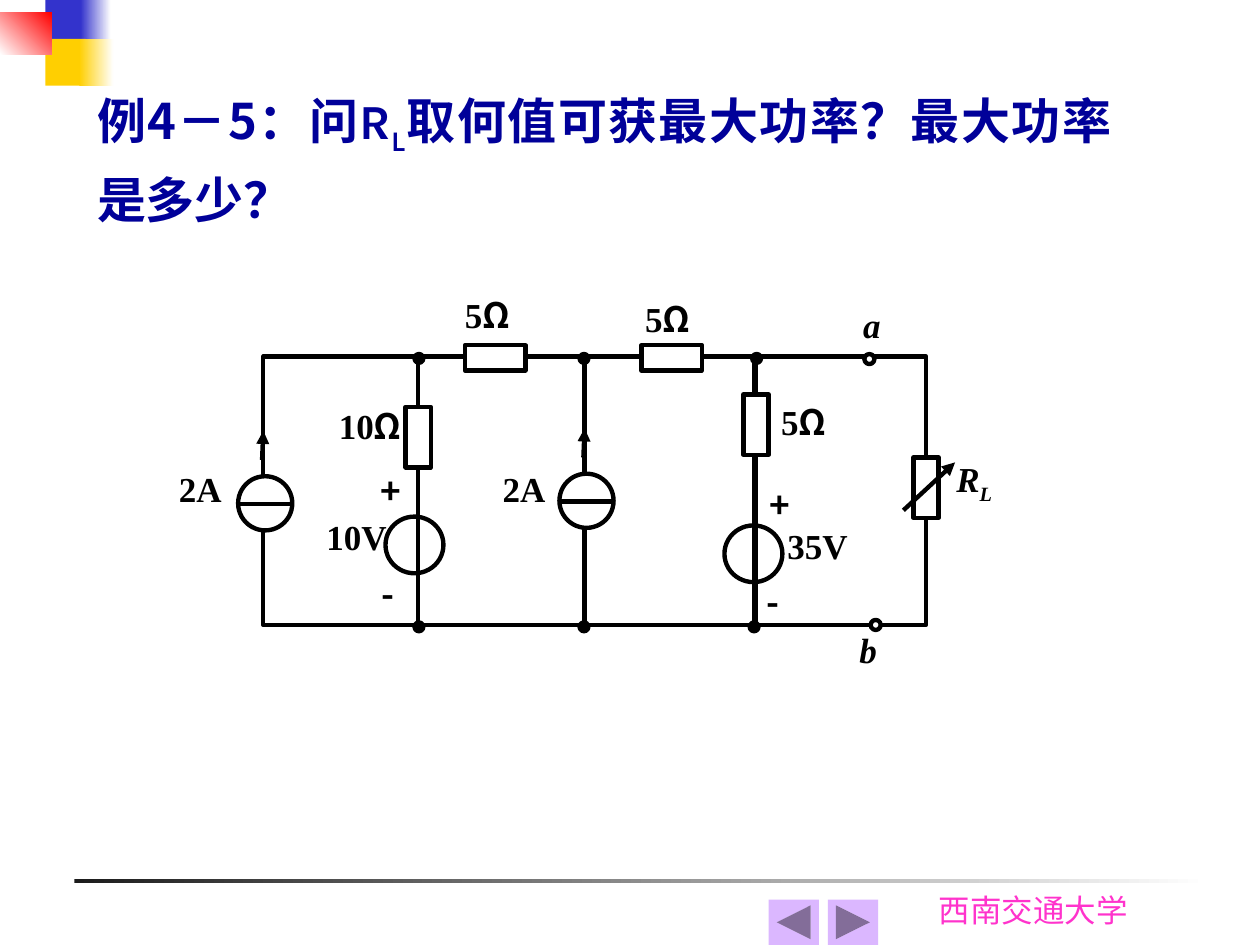
from lxml.etree import SubElement
from pptx import Presentation
from pptx.dml.color import RGBColor
from pptx.enum.shapes import MSO_CONNECTOR, MSO_SHAPE
from pptx.enum.text import MSO_ANCHOR, MSO_AUTO_SIZE, PP_ALIGN
from pptx.oxml.ns import qn
from pptx.util import Inches, Pt

SERIF, SANS, LATIN = "Times New Roman", "Noto Sans CJK SC", "Karla"
BLACK, WHITE = "000000", "FFFFFF"


def color(code):
    return RGBColor.from_string(code)


class CircuitSlide:
    stroke = Pt(2.5)

    def __init__(self, deck):
        self.slide = deck.slides.add_slide(deck.slide_layouts[5])
        self.shapes = self.slide.shapes

    def set_runs(self, frame, runs, size, ink, bold=True, italic=False, align=PP_ALIGN.LEFT):
        paragraph = frame.paragraphs[0]
        paragraph.alignment = align
        font = paragraph.font
        font.size, font.bold, font.italic = Pt(size), bold, italic
        font.color.rgb = color(ink)
        families = {family for _, family, _ in runs}
        if len(families) == 1:
            font.name = runs[0][1]
            defaults = paragraph._p.pPr.find(qn("a:defRPr"))
            SubElement(defaults, qn("a:ea")).set("typeface", font.name)
        for words, family, subscript in runs:
            run = paragraph.add_run()
            run.text = words
            properties = run._r.get_or_add_rPr()
            if len(families) > 1:
                run.font.name = family
                SubElement(properties, qn("a:ea")).set("typeface", family)
            if subscript:
                properties.set("baseline", "-25000")
        return paragraph

    def title(self, runs, left, top, width, height):
        heading = self.shapes.title
        heading.left, heading.top = Inches(left), Inches(top)
        heading.width, heading.height = Inches(width), Inches(height)
        frame = heading.text_frame
        frame.word_wrap = True
        frame.auto_size = MSO_AUTO_SIZE.NONE
        frame.vertical_anchor = MSO_ANCHOR.MIDDLE
        self.set_runs(frame, runs, 28, "000099", align=PP_ALIGN.JUSTIFY).line_spacing = 1.2

    def text(self, runs, left, top, width, height, size=20, ink=BLACK, bold=True,
             italic=False, inset=0):
        box = self.shapes.add_textbox(*map(Inches, (left, top, width, height)))
        frame = box.text_frame
        frame.word_wrap = True
        frame.margin_left = frame.margin_right = Inches(inset)
        frame.margin_top = frame.margin_bottom = Inches(inset / 2)
        self.set_runs(frame, runs, size, ink, bold, italic)

    def shape(self, kind, left, top, width, height, fill=None, line=None):
        item = self.shapes.add_shape(kind, *map(Inches, (left, top, width, height)))
        item.shadow.inherit = False
        if fill:
            item.fill.solid()
            item.fill.fore_color.rgb = color(fill)
        else:
            item.fill.background()
        if line:
            item.line.color.rgb = color(line)
            item.line.width = self.stroke
        else:
            item.line.fill.background()
        return item

    def gradient(self, left, top, width, height, start, end, angle=0):
        fill = self.shape(MSO_SHAPE.RECTANGLE, left, top, width, height).fill
        fill.gradient()
        fill.gradient_angle = angle
        for stop, code in zip(fill.gradient_stops, (start, end)):
            stop.color.rgb = color(code)

    def circle(self, left, top, size, fill=None, height=None):
        self.shape(MSO_SHAPE.OVAL, left, top, size, height or size, fill, BLACK)

    def resistor(self, left, top, horizontal=False):
        body = self.shape(MSO_SHAPE.RECTANGLE, left, top, 0.2, 0.48, WHITE, BLACK)
        body.rotation = 270 if horizontal else 0

    def wire(self, x1, y1, x2, y2, arrow=False):
        wire = self.shapes.add_connector(
            MSO_CONNECTOR.STRAIGHT, *map(Inches, (x1, y1, x2, y2)))
        wire.line.color.rgb = color(BLACK)
        wire.line.width = self.stroke
        properties = wire._element.spPr
        if arrow:
            SubElement(properties.find(qn("a:ln")), qn("a:tailEnd")).set("type", "triangle")
        SubElement(properties, qn("a:effectLst"))

    def current_source(self, left, top):
        self.circle(left, top, 0.43, WHITE)
        self.wire(left + 0.01, top + 0.22, left + 0.44, top + 0.22)
        self.wire(left + 0.19, top - 0.13, left + 0.2, top - 0.36, arrow=True)


def main():
    deck = Presentation()
    deck.slide_width, deck.slide_height = Inches(10), Inches(7.5)
    page = CircuitSlide(deck)

    page.gradient(0.59, 6.98, 9, 0.03, "1C1C1C", WHITE)
    page.text([("西南交通大学", LATIN, False)], 7.35, 7.02, 1.81, 0.4,
              18, "FF33CC", bold=False, inset=0.1)
    for top, tint, split, fade in ((0, "3333CC", 0.64, 0.24), (0.31, "FFCF01", 0.63, 0.27)):
        page.shape(MSO_SHAPE.RECTANGLE, 0.36, top, 0.32, 0.37, tint)
        page.gradient(split, top, fade, 0.37, tint, WHITE)
    page.gradient(0, 0.1, 0.41, 0.33, WHITE, "FF0000", 45)

    page.title([("例4－5：问", SANS, False), ("R", LATIN, False), ("L", LATIN, True),
                ("取何值可获最大功率？最大功率是多少？", SANS, False)], 0.67, 0.5, 8.25, 1.42)

    top_rail, bottom_rail = 2.83, 4.96
    for left, width, fill in ((2.09, 3.9, None), (6, 1.35, WHITE)):
        page.shape(MSO_SHAPE.RECTANGLE, left, top_rail, width, bottom_rail - top_rail,
                   fill, BLACK)
    page.wire(3.32, top_rail, 3.32, bottom_rail)
    page.wire(4.64, top_rail, 4.64, bottom_rail)
    for top, lefts in ((2.81, (3.29, 4.6, 5.97)), (4.94, (3.29, 4.6, 5.95))):
        for left in lefts:
            page.circle(left, top, 0.07, BLACK)
    for left, top in ((6.86, 2.81), (6.91, 4.92)):
        page.circle(left, top, 0.08, WHITE)

    for left, top in ((1.89, 3.78), (4.44, 3.76)):
        page.current_source(left, top)
    for left, top in ((3.06, 4.1), (5.75, 4.17)):
        page.circle(left, top, 0.46, height=0.45)
    for left, top in ((5.9, 3.13), (3.22, 3.23), (7.25, 3.63)):
        page.resistor(left, top)
    for left in (3.83, 5.23):
        page.resistor(left, 2.6, horizontal=True)
    page.wire(7.17, 4.05, 7.58, 3.67, arrow=True)

    for sign, left, top in (("+", 3.02, 3.73), ("-", 3.03, 4.54),
                            ("+", 6.11, 3.84), ("-", 6.08, 4.61)):
        page.text([(sign, SANS, False)], left, top, 0.32, 0.45)
    for value, left, top in (("2A", 1.42, 3.71), ("2A", 3.99, 3.71),
                             ("10V", 2.59, 4.09), ("35V", 6.25, 4.16)):
        page.text([(value, SERIF, False)], left, top, 0.74, 0.54)
    for ohms, left, top in (("5", 3.69, 2.33), ("5", 5.12, 2.36),
                            ("10", 2.69, 3.21), ("5", 6.2, 3.18)):
        page.text([(ohms, SERIF, False), ("Ω", SANS, False)], left, top, 0.6, 0.45)
    for terminal, left, top in (("a", 6.85, 2.41), ("b", 6.82, 4.99)):
        page.text([(terminal, SERIF, False)], left, top, 0.4, 0.55, italic=True)
    page.text([("R", SERIF, False), ("L", SERIF, True)], 7.59, 3.63, 0.6, 0.45, italic=True)

    for button, left in ((MSO_SHAPE.ACTION_BUTTON_BACK_OR_PREVIOUS, 6.1),
                         (MSO_SHAPE.ACTION_BUTTON_FORWARD_OR_NEXT, 6.57)):
        page.shape(button, left, 7.14, 0.4, 0.36, "DBB7FF")

    deck.save("out.pptx")


if __name__ == "__main__":
    main()
